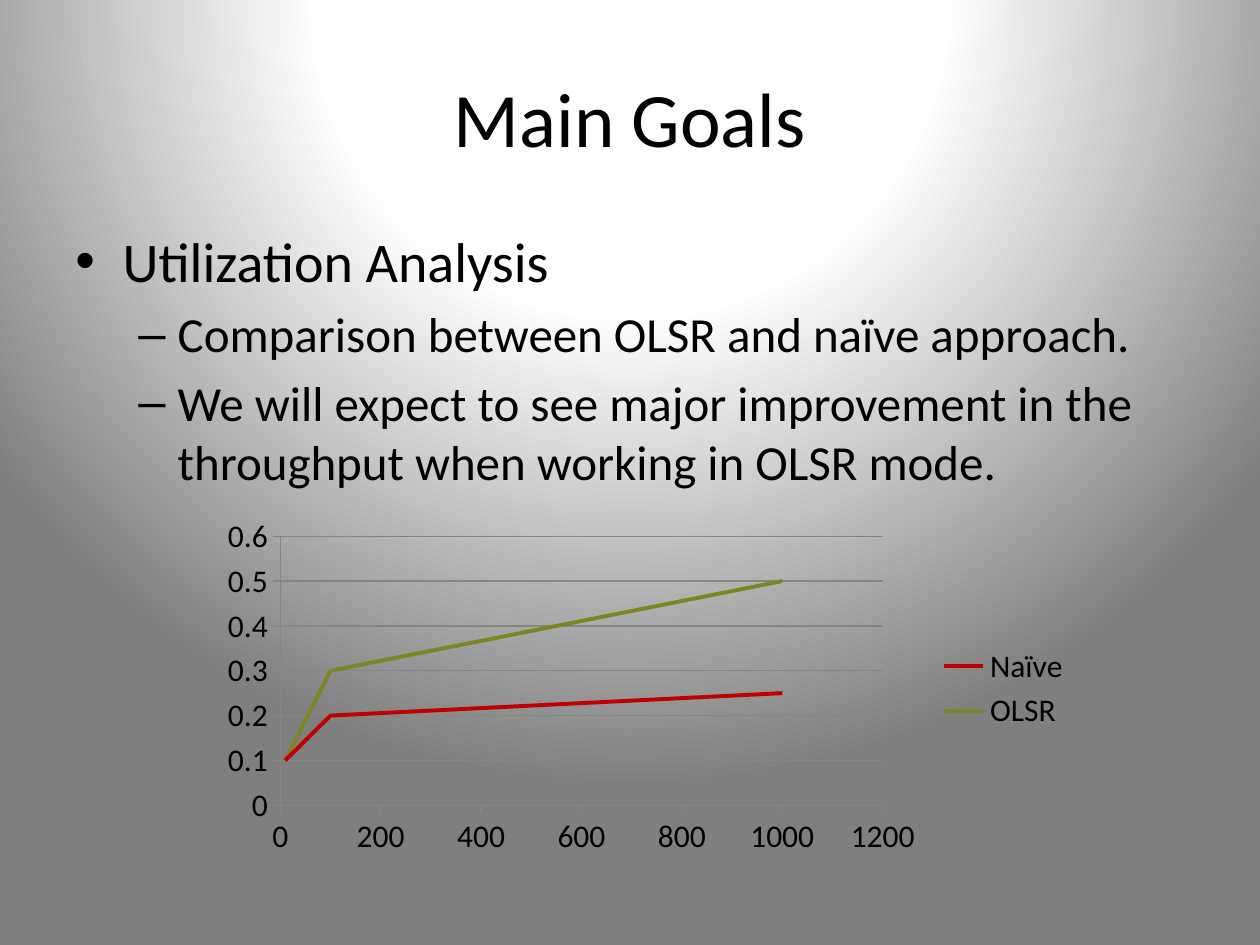
from pptx import Presentation
from pptx.chart.data import XyChartData
from pptx.dml.color import RGBColor
from pptx.enum.chart import XL_CHART_TYPE, XL_LEGEND_POSITION, XL_TICK_MARK
from pptx.enum.text import MSO_ANCHOR, PP_ALIGN
from pptx.oxml import parse_xml
from pptx.oxml.ns import nsdecls, qn
from pptx.util import Pt

SMOOTH_SCATTER = XL_CHART_TYPE.XY_SCATTER_SMOOTH_NO_MARKERS
LEGEND_RIGHT = XL_LEGEND_POSITION.RIGHT
TICK_OUTSIDE = XL_TICK_MARK.OUTSIDE
TICK_NONE = XL_TICK_MARK.NONE
MIDDLE = MSO_ANCHOR.MIDDLE
CENTER = PP_ALIGN.CENTER

BLACK = RGBColor(0x00, 0x00, 0x00)
AXIS_GREY = RGBColor(0x86, 0x86, 0x86)
RED = RGBColor(0xC0, 0x00, 0x00)
OLIVE = RGBColor(0x7D, 0x85, 0x25)
WHITE = RGBColor(0xFF, 0xFF, 0xFF)
NEAR_WHITE = RGBColor(0xFE, 0xFE, 0xFE)
MID_GREY = RGBColor(0x7F, 0x7F, 0x7F)

# level: (bullet, text size, left margin, hanging indent), in points
LEVELS = {0: ("•", 32, 27, 27), 1: ("–", 28, 58.5, 22.5)}
GOALS = [
    (0, "Utilization Analysis"),
    (1, "Comparison between OLSR and naïve approach."),
    (1, "We will expect to see major improvement in the "
        "throughput when working in OLSR mode."),
]
NODE_COUNTS = (10, 100, 1000)
UTILIZATION = [
    ("Naïve", (0.1, 0.2, 0.25), RED),
    ("OLSR", (0.1, 0.3, 0.5), OLIVE),
]


class SlideBuilder:
    """Holds the text style and the current slide."""

    def __init__(self, slide, font_name="Calibri", color=BLACK):
        """Keep the slide and the shared style."""
        self.slide = slide
        self.font_name = font_name
        self.color = color

    def style(self, font, size):
        """Apply the shared font and colour at a given size."""
        font.name = self.font_name
        font.size = Pt(size)
        font.color.rgb = self.color

    def background(self, stops):
        """Fill the background with a radial gradient centred above the slide."""
        self.slide.background.fill.gradient()
        gradient = self.slide.element.find(".//" + qn("a:gradFill"))
        stop_xml = "".join(
            f'<a:gs pos="{percent * 1000}"><a:srgbClr val="{color}"/></a:gs>'
            for percent, color in stops)
        gradient.getparent().replace(gradient, parse_xml(
            f'<a:gradFill {nsdecls("a")} rotWithShape="1">'
            f'<a:gsLst>{stop_xml}</a:gsLst><a:path path="circle">'
            '<a:fillToRect l="50000" t="-80000" r="50000" b="180000"/>'
            '</a:path></a:gradFill>'))

    def text_frame(self, left, top, width, height):
        """Add a wrapping text box and return its frame."""
        box = self.slide.shapes.add_textbox(
            Pt(left), Pt(top), Pt(width), Pt(height))
        box.text_frame.word_wrap = True
        return box.text_frame

    def title(self, text, *box):
        """Add the centred title."""
        frame = self.text_frame(*box)
        frame.vertical_anchor = MIDDLE
        heading = frame.paragraphs[0]
        heading.text = text
        heading.alignment = CENTER
        self.style(heading.font, 44)

    def bullets(self, items, *box):
        """Add a bulleted list of (level, text) items."""
        frame = self.text_frame(*box)
        for index, (level, text) in enumerate(items):
            item = frame.add_paragraph() if index else frame.paragraphs[0]
            bullet, size, margin, hanging = LEVELS[level]
            item.text = text
            item.level = level
            item.space_before = Pt(size * 0.2)
            self.style(item.font, size)
            properties = item._p.get_or_add_pPr()
            properties.set("marL", str(Pt(margin)))
            properties.set("indent", str(-Pt(hanging)))
            marks = (f'<a:buFont {nsdecls("a")} typeface="Arial"/>',
                     f'<a:buChar {nsdecls("a")} char="{bullet}"/>')
            for offset, mark in enumerate(marks):
                properties.insert_element_before(
                    parse_xml(mark), "a:tabLst", "a:defRPr", "a:extLst")

    def axis(self, axis, maximum, step, gridlines):
        """Set the scale and lines of one chart axis."""
        axis.minimum_scale = 0
        axis.maximum_scale = maximum
        axis.major_unit = step
        axis.major_tick_mark = TICK_OUTSIDE
        axis.minor_tick_mark = TICK_NONE
        axis.has_major_gridlines = gridlines
        lines = [axis.format.line]
        if gridlines:
            lines.append(axis.major_gridlines.format.line)
        for line in lines:
            line.color.rgb = AXIS_GREY
            line.width = Pt(0.75)
        axis.tick_labels.number_format = "General"
        axis.tick_labels.number_format_is_linked = False

    def scatter(self, x_values, series, left, top, width, height):
        """Add a smooth scatter chart of (name, values, colour) series."""
        data = XyChartData()
        for name, values, _ in series:
            curve = data.add_series(name)
            for x, y in zip(x_values, values):
                curve.add_data_point(x, y)
        chart = self.slide.shapes.add_chart(
            SMOOTH_SCATTER, Pt(left), Pt(top), Pt(width), Pt(height),
            data).chart
        self.style(chart.font, 18)
        chart.has_title = False
        chart.has_legend = True
        chart.legend.position = LEGEND_RIGHT
        chart.legend.include_in_layout = False
        chart.plots[0].vary_by_categories = False
        for curve, (_, _, color) in zip(chart.plots[0].series, series):
            curve.smooth = True
            curve.format.line.color.rgb = color
            curve.format.line.width = Pt(2.25)
        self.axis(chart.category_axis, 1200, 200, False)
        self.axis(chart.value_axis, 0.6, 0.1, True)
        self.plot_area(chart, x=0.08, y=0.07, w=0.69, h=0.76)

    def plot_area(self, chart, **fractions):
        """Place the inner plot area by fractions of the chart."""
        area = chart._chartSpace.find(".//" + qn("c:plotArea"))
        for layout in area.findall(qn("c:layout")):
            area.remove(layout)
        modes = "".join(f'<c:{side}Mode val="edge"/>' for side in "xy")
        sizes = "".join(f'<c:{side} val="{value}"/>'
                        for side, value in fractions.items())
        area.insert(0, parse_xml(
            f'<c:layout {nsdecls("c")}><c:manualLayout>'
            f'<c:layoutTarget val="inner"/>{modes}{sizes}'
            '</c:manualLayout></c:layout>'))


def main():
    """Build and save the slide."""
    deck = Presentation()
    deck.slide_width, deck.slide_height = Pt(720), Pt(540)
    builder = SlideBuilder(deck.slides.add_slide(deck.slide_layouts[6]))
    builder.background([(0, WHITE), (40, NEAR_WHITE), (100, MID_GREY)])
    builder.title("Main Goals", 36, 21.6, 648, 90)
    builder.bullets(GOALS, 36, 126, 648, 356.4)
    builder.scatter(NODE_COUNTS, UTILIZATION, 120.24, 292.32, 498.96, 202.32)
    deck.save("out.pptx")


main()
